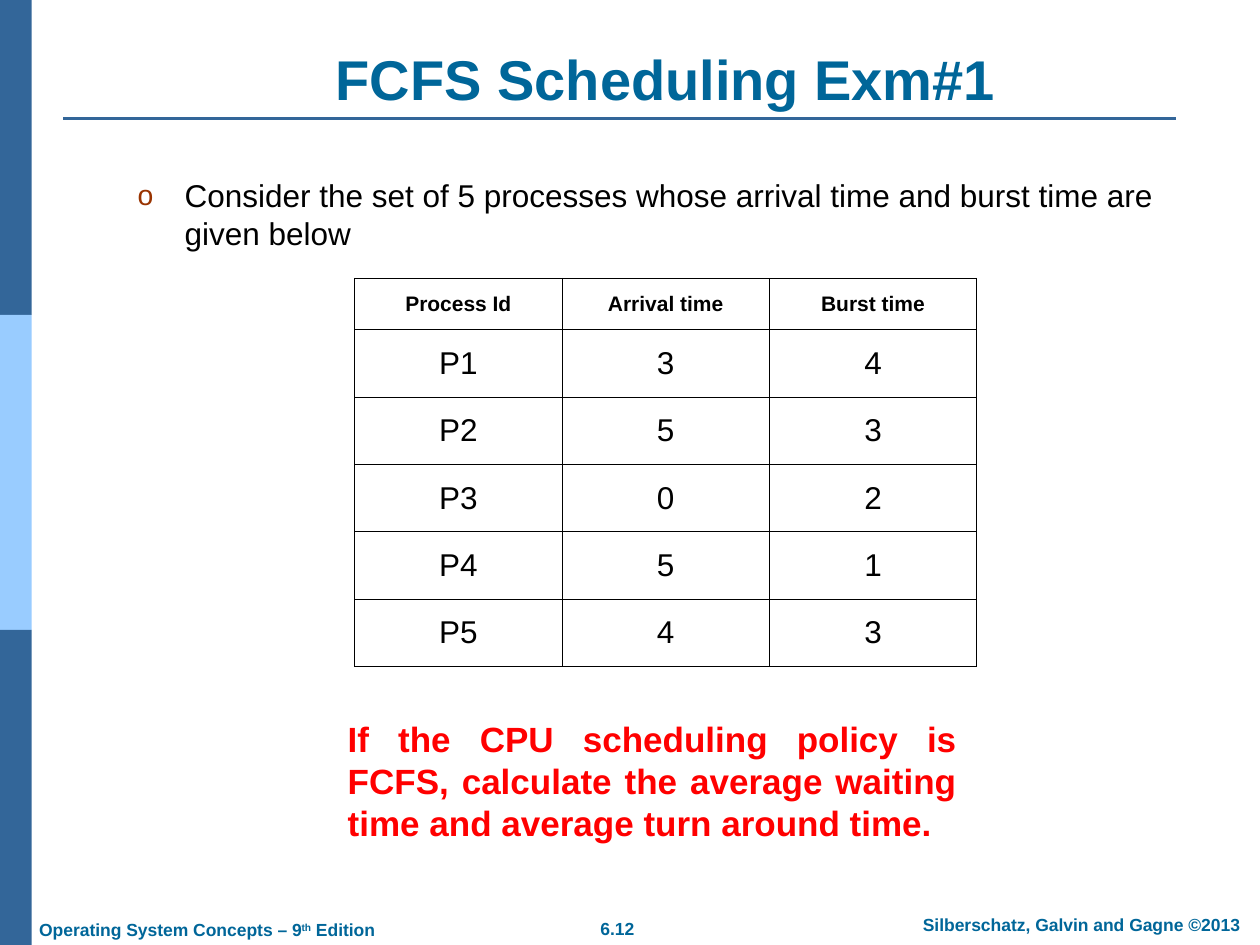
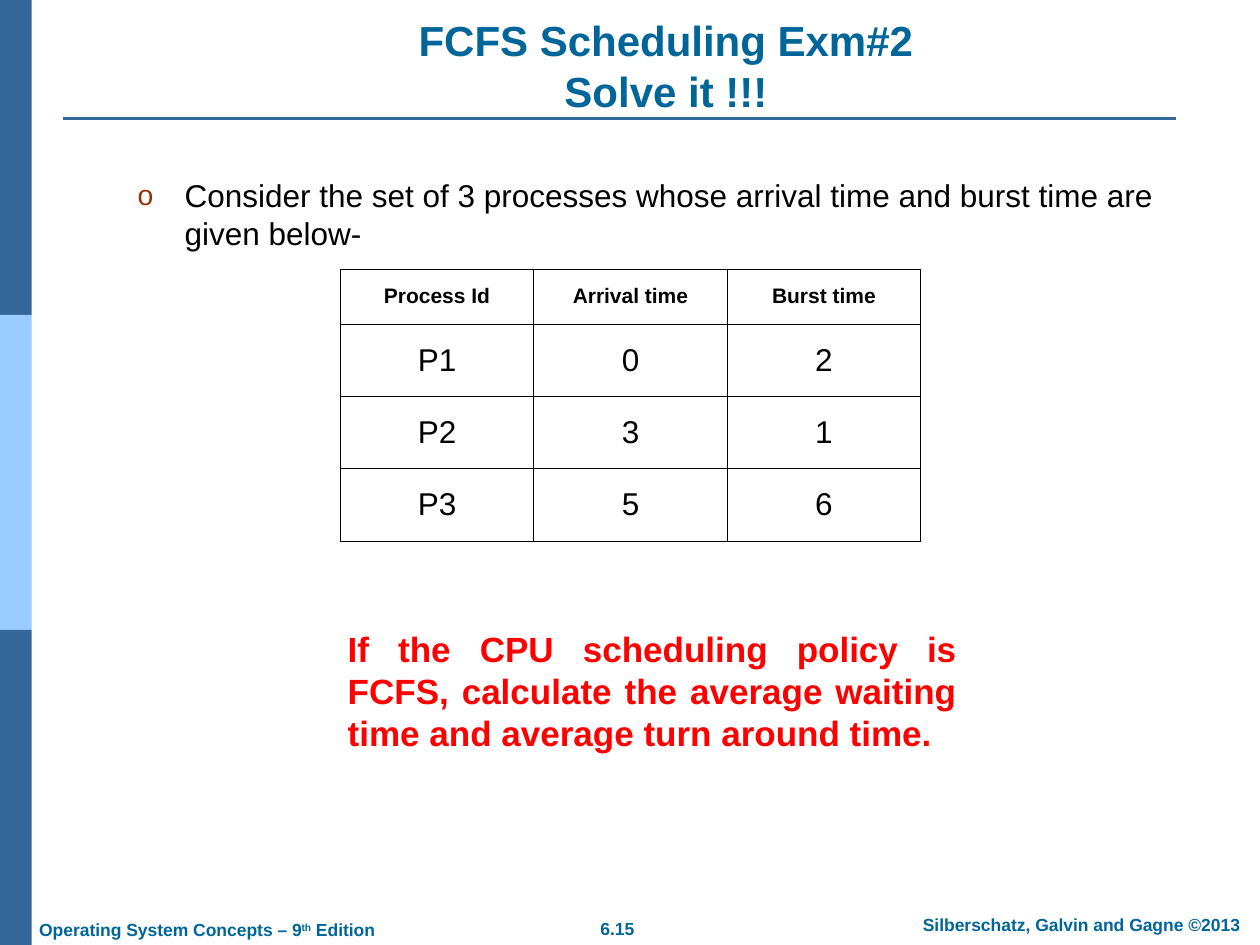
import pptx
import pptx.dml.color
import pptx.enum.shapes
import pptx.enum.text
import pptx.oxml
import pptx.oxml.ns
import pptx.util
from pptx.util import Cm

COLORS = {
    "band": "336699",
    "light band": "99CCFF",
    "heading": "006699",
    "bullet": "993300",
    "text": "000000",
    "task": "FF0000",
}
FONT = "Arial"
BAND_WIDTH, BAND_HEIGHT = 0.64, 6.35
HEADERS = ["Process Id", "Arrival time", "Burst time"]
TASK = ("If the CPU scheduling policy is FCFS, calculate the average waiting "
        "time and average turn around time.")
ALIGN = pptx.enum.text.PP_ALIGN


def color(name):
    return pptx.dml.color.RGBColor.from_string(COLORS[name])


def add_xml(parent, xml):
    """Append an element written with the a: prefix to parent."""
    tag, rest = xml.split(" ", 1)
    namespace = pptx.oxml.ns.nsdecls("a")
    parent.append(pptx.oxml.parse_xml(f"{tag} {namespace} {rest}"))


class Deck:
    """Holds the shared style and the slide being built."""

    def __init__(self):
        self.presentation = pptx.Presentation()
        self.presentation.slide_width = Cm(25.4)
        self.presentation.slide_height = Cm(19.05)
        self.slide = None

    def style(self, paragraph, size, color_name, bold=False, align=ALIGN.LEFT):
        paragraph.alignment = align
        paragraph.space_before = pptx.util.Pt(0)
        font = paragraph.font
        font.name = FONT
        font.size = pptx.util.Pt(size)
        font.bold = bold
        font.color.rgb = color(color_name)

    def place(self, shape, left, top, width, height):
        shape.left, shape.top = Cm(left), Cm(top)
        shape.width, shape.height = Cm(width), Cm(height)

    def new_slide(self, number):
        layout = self.presentation.slide_layouts[1]
        self.slide = self.presentation.slides.add_slide(layout)
        for index, name in enumerate(["band", "light band", "band"]):
            self.band(index * BAND_HEIGHT, name)
        self.rule(1.27, 23.7, 2.39)
        self.footer(number, 11.2, 18.38, 2.49, ALIGN.CENTER)
        self.footer("Silberschatz, Galvin and Gagne ©2013",
                    18.03, 18.3, 7.54, ALIGN.CENTER)
        edition = self.footer("Operating System Concepts – 9",
                              0.54, 18.4, 8.5, ALIGN.LEFT)
        superscript = edition.add_run()
        superscript.text = "th"
        superscript._r.get_or_add_rPr().set("baseline", "30000")
        edition.add_run().text = " Edition"

    def band(self, top, color_name):
        shape = self.slide.shapes.add_shape(
            pptx.enum.shapes.MSO_SHAPE.RECTANGLE,
            Cm(0), Cm(top), Cm(BAND_WIDTH), Cm(BAND_HEIGHT))
        shape.shadow.inherit = False
        shape.fill.solid()
        shape.fill.fore_color.rgb = color(color_name)
        shape.line.fill.background()

    def rule(self, left, right, top):
        line = self.slide.shapes.add_connector(
            pptx.enum.shapes.MSO_CONNECTOR.STRAIGHT,
            Cm(left), Cm(top), Cm(right), Cm(top))
        line.line.color.rgb = color("band")
        line.line.width = pptx.util.Pt(1.5)
        add_xml(line._element.spPr, "<a:effectLst />")

    def text_box(self, text, left, top, width, height, size, color_name, align):
        shape = self.slide.shapes.add_textbox(
            Cm(left), Cm(top), Cm(width), Cm(height))
        frame = shape.text_frame
        frame.word_wrap = True
        frame.auto_size = pptx.enum.text.MSO_AUTO_SIZE.SHAPE_TO_FIT_TEXT
        frame.text = text
        self.style(frame.paragraphs[0], size, color_name, True, align)
        return frame.paragraphs[0]

    def footer(self, text, left, top, width, align):
        return self.text_box(text, left, top, width, 0.65, 10, "heading", align)

    def title(self, text, top, size):
        shape = self.slide.shapes.title
        self.place(shape, 2.72, top, 21.41, 1.6)
        frame = shape.text_frame
        frame.auto_size = pptx.enum.text.MSO_AUTO_SIZE.NONE
        frame.vertical_anchor = pptx.enum.text.MSO_ANCHOR.BOTTOM
        frame.text = text
        self.style(frame.paragraphs[0], size, "heading", True, ALIGN.CENTER)

    def bullet(self, text):
        shape = self.slide.placeholders[1]
        self.place(shape, 2.52, 3.43, 21.26, 12.6)
        frame = shape.text_frame
        frame.auto_size = pptx.enum.text.MSO_AUTO_SIZE.NONE
        frame.text = text
        paragraph = frame.paragraphs[0]
        properties = paragraph._p.get_or_add_pPr()
        properties.set("marL", str(Cm(0.95)))
        properties.set("indent", str(-Cm(0.95)))
        add_xml(properties,
                f'<a:buClr ><a:srgbClr val="{COLORS["bullet"]}"/></a:buClr>')
        add_xml(properties, '<a:buSzPct val="90000"/>')
        add_xml(properties, '<a:buChar char="o"/>')
        self.style(paragraph, 18, "text")

    def process_table(self, processes, left, top, column_width,
                      header_height, row_height):
        """Draw a table of (arrival, burst) pairs, numbered from P1."""
        rows = [HEADERS] + [[f"P{number}", *map(str, times)]
                            for number, times in enumerate(processes, 1)]
        table = self.slide.shapes.add_table(
            len(rows), len(HEADERS), Cm(left), Cm(top),
            Cm(column_width * len(HEADERS)),
            Cm(header_height + row_height * len(processes))).table
        table.first_row = table.horz_banding = False
        for column in table.columns:
            column.width = Cm(column_width)
        for row_index, values in enumerate(rows):
            is_header = row_index == 0
            table.rows[row_index].height = Cm(
                header_height if is_header else row_height)
            for column_index, value in enumerate(values):
                self.cell(table.cell(row_index, column_index), value, is_header)

    def cell(self, cell, text, is_header):
        cell.text = text
        cell.vertical_anchor = pptx.enum.text.MSO_ANCHOR.MIDDLE
        cell.margin_left = cell.margin_right = Cm(0.18)
        self.style(cell.text_frame.paragraphs[0], 12 if is_header else 18,
                   "text", is_header, ALIGN.CENTER)
        properties = cell._tc.get_or_add_tcPr()
        for side in "LRTB":
            add_xml(properties,
                    f'<a:ln{side} w="{pptx.util.Pt(0.45)}"><a:solidFill>'
                    f'<a:srgbClr val="{COLORS["text"]}"/>'
                    f'</a:solidFill></a:ln{side}>')
        cell.fill.background()

    def task(self, top):
        self.text_box(TASK, 6.76, top, 12.78, 2.79, 20, "task", ALIGN.JUSTIFY)


def main():
    deck = Deck()

    deck.new_slide("6.12")
    deck.title("FCFS Scheduling Exm#1", 0.77, 32)
    deck.bullet("Consider the set of 5 processes whose arrival time and "
                "burst time are given below")
    deck.process_table([(3, 4), (5, 3), (0, 2), (5, 1), (4, 3)],
                       7.15, 5.61, 4.18, 1.03, 1.36)
    deck.task(14.34)

    deck.new_slide("6.15")
    deck.title("FCFS Scheduling Exm#2\vSolve it !!!", 0.86, 24)
    deck.bullet("Consider the set of 3 processes whose arrival time and "
                "burst time are given below-")
    deck.process_table([(0, 2), (3, 1), (5, 6)], 6.86, 5.43, 3.9, 1.1, 1.46)
    deck.task(12.53)

    deck.presentation.save("out.pptx")


if __name__ == "__main__":
    main()
